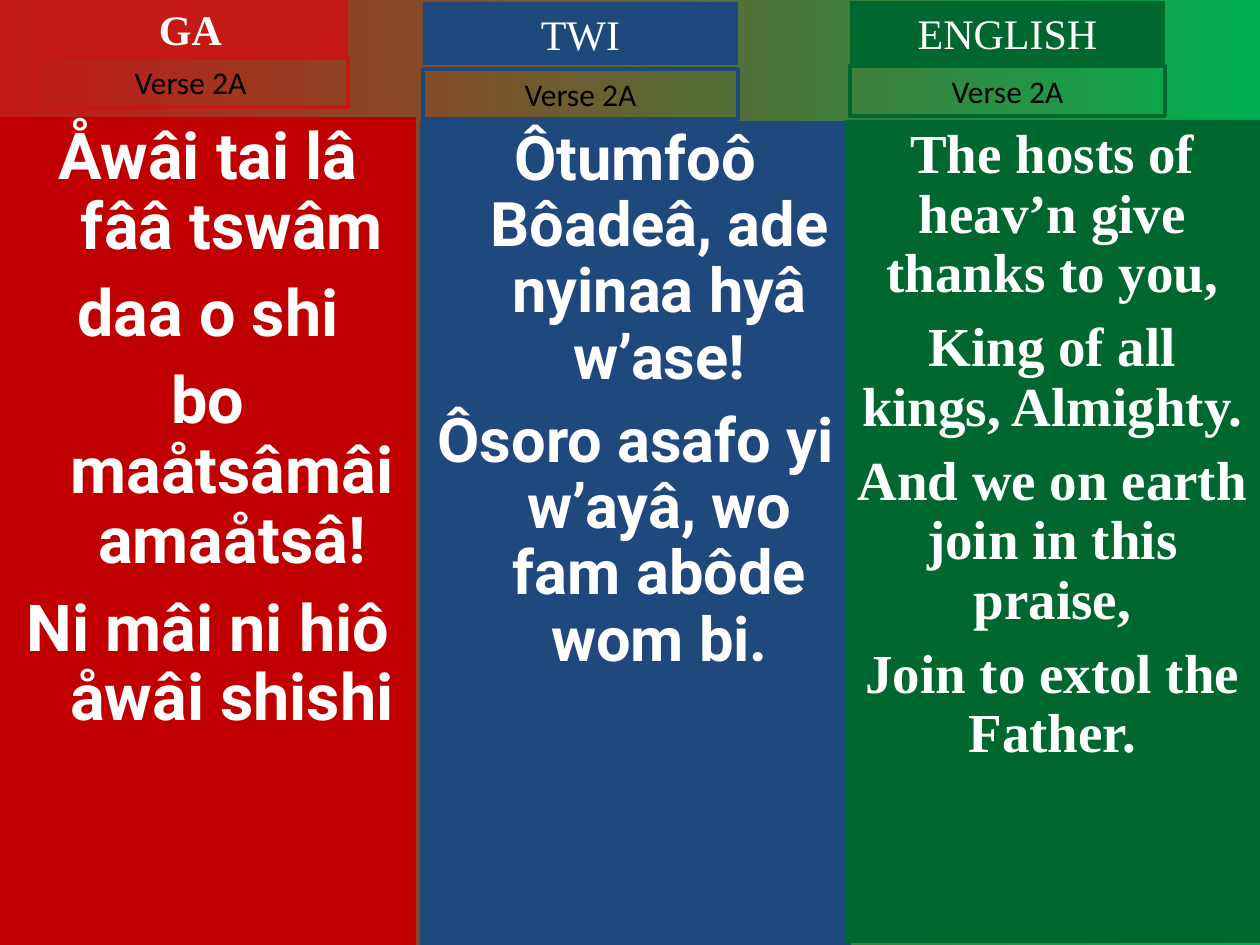
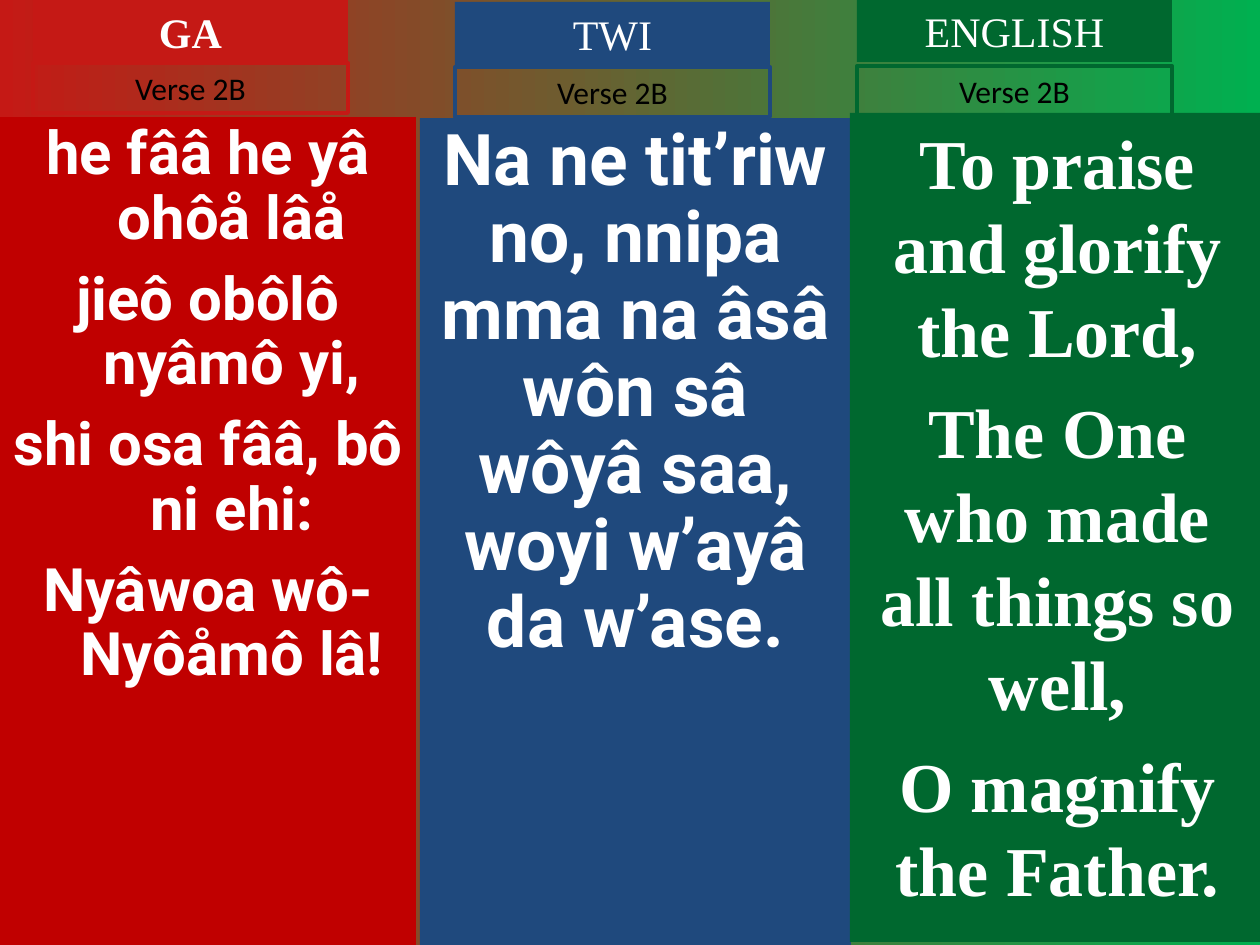
"""Builds two hymn slides with parallel Ga, Twi and English verse columns."""
import pptx
import pptx.dml.color
import pptx.enum.shapes
import pptx.enum.text
import pptx.util

SCALE = 914400 / 126
SLIDE_SIZE = (1260, 945)
BACKGROUND = ("C51915", "00B050")
WHITE, BLACK = "FFFFFF", "000000"
SERIF, SANS, LABEL = "Times New Roman", "Roboto", "Calibri"
LABEL_WIDTH, HEADER_HEIGHT, VERSE_HEIGHT = 315, 63, 50
HANGING = 48

LANGUAGES = {
    "GA": {"body": "C00000", "header": "C51915", "font": SANS, "bold": True},
    "TWI": {"body": "1F497D", "header": "1F497D", "font": SANS, "bold": False},
    "ENGLISH": {"body": "00682F", "header": "00682F", "font": SERIF, "bold": False},
}

VERSES = [
    ("Verse 2A", {
        "GA": {"box": (0, 117, 416, 828), "label": (33, -3, 57),
               "size": 37, "before": 10, "spacing": 0.9, "hanging": HANGING,
               "lines": ["Åwâi tai lâ fââ tswâm", "daa o shi", "bo maåtsâmâi amaåtsâ!",
                         "Ni mâi ni hiô åwâi shishi"]},
        "TWI": {"box": (420, 121, 431, 824), "label": (423, 2, 69),
                "size": 35.1, "before": 9.5, "spacing": 0.9, "hanging": HANGING,
                "lines": ["Ôtumfoô Bôadeâ, ade nyinaa hyâ w’ase!",
                          "Ôsoro asafo yi w’ayâ, wo fam abôde wom bi."]},
        "ENGLISH": {"box": (845, 120, 415, 823), "label": (850, 1, 66),
                    "size": 31.4, "before": 8.5, "spacing": 0.9, "hanging": 0,
                    "lines": ["The hosts of heav’n give thanks to you,",
                              "King of all kings, Almighty.",
                              "And we on earth join in this praise,",
                              "Join to extol the Father."]},
    }),
    ("Verse 2B", {
        "GA": {"box": (0, 117, 416, 828), "label": (33, 0, 63),
               "size": 34.2, "before": 9.2, "spacing": 0.9, "hanging": HANGING,
               "lines": ["he fââ he yâ ohôå lâå", "jieô obôlô nyâmô yi,",
                         "shi osa fââ, bô ni ehi:", "Nyâwoa wô-Nyôåmô lâ!"]},
        "TWI": {"box": (420, 118, 431, 827), "label": (455, 2, 67),
                "size": 40.7, "before": 11, "spacing": 0.9, "hanging": 0,
                "lines": ["Na ne tit’riw no, nnipa mma na âsâ wôn sâ wôyâ saa, "
                          "woyi w’ayâ da w’ase."]},
        "ENGLISH": {"box": (850, 113, 415, 829), "label": (857, -1, 66),
                    "size": 40, "before": 10, "spacing": 1.0, "hanging": 0,
                    "lines": ["To praise and glorify the Lord,",
                              "The One who made all things so well,",
                              "O magnify the Father."]},
    }),
]


def px(length):
    return pptx.util.Emu(round(length * SCALE))


def rgb(value):
    return pptx.dml.color.RGBColor.from_string(value)


def add_box(slide, box, fill=None, line=None):
    shape = slide.shapes.add_shape(
        pptx.enum.shapes.MSO_SHAPE.RECTANGLE, *[px(length) for length in box])
    shape.shadow.inherit = False
    if fill:
        shape.fill.solid()
        shape.fill.fore_color.rgb = rgb(fill)
    else:
        shape.fill.background()
    if line:
        shape.line.color.rgb = rgb(line)
        shape.line.width = pptx.util.Pt(2.25)
    else:
        shape.line.fill.background()
    return shape


def write(shape, lines, font, size, color, bold=False, before=0, spacing=1.0, hanging=0):
    frame = shape.text_frame
    frame.word_wrap = True
    frame.vertical_anchor = pptx.enum.text.MSO_ANCHOR.TOP
    for index, line in enumerate(lines):
        paragraph = frame.add_paragraph() if index else frame.paragraphs[0]
        paragraph.alignment = pptx.enum.text.PP_ALIGN.CENTER
        paragraph.line_spacing = spacing
        paragraph.space_before = pptx.util.Pt(before if index else 0)
        if hanging:
            properties = paragraph._p.get_or_add_pPr()
            properties.set("marL", str(px(hanging)))
            properties.set("indent", str(-px(hanging)))
        run = paragraph.add_run()
        run.text = line
        run.font.name = font
        run.font.size = pptx.util.Pt(size)
        run.font.bold = bold
        run.font.color.rgb = rgb(color)


def add_column(slide, language, verse, column):
    style = LANGUAGES[language]
    left, header_top, verse_top = column["label"]
    body = add_box(slide, column["box"], fill=style["body"])
    write(body, column["lines"], style["font"], column["size"], WHITE, True,
          column["before"], column["spacing"], column["hanging"])
    header = add_box(slide, (left, header_top, LABEL_WIDTH, HEADER_HEIGHT), fill=style["header"])
    write(header, [language], SERIF, 24, WHITE, style["bold"])
    label = add_box(slide, (left, verse_top, LABEL_WIDTH, VERSE_HEIGHT), line=style["header"])
    write(label, [verse], LABEL, 18, BLACK)


def paint_background(slide):
    fill = slide.background.fill
    fill.gradient()
    fill.gradient_angle = 0
    for stop, color in zip(fill.gradient_stops, BACKGROUND):
        stop.color.rgb = rgb(color)


def main():
    presentation = pptx.Presentation()
    presentation.slide_width, presentation.slide_height = map(px, SLIDE_SIZE)
    for verse, columns in VERSES:
        slide = presentation.slides.add_slide(presentation.slide_layouts[6])
        paint_background(slide)
        for language, column in columns.items():
            add_column(slide, language, verse, column)
    presentation.save("out.pptx")


if __name__ == "__main__":
    main()
